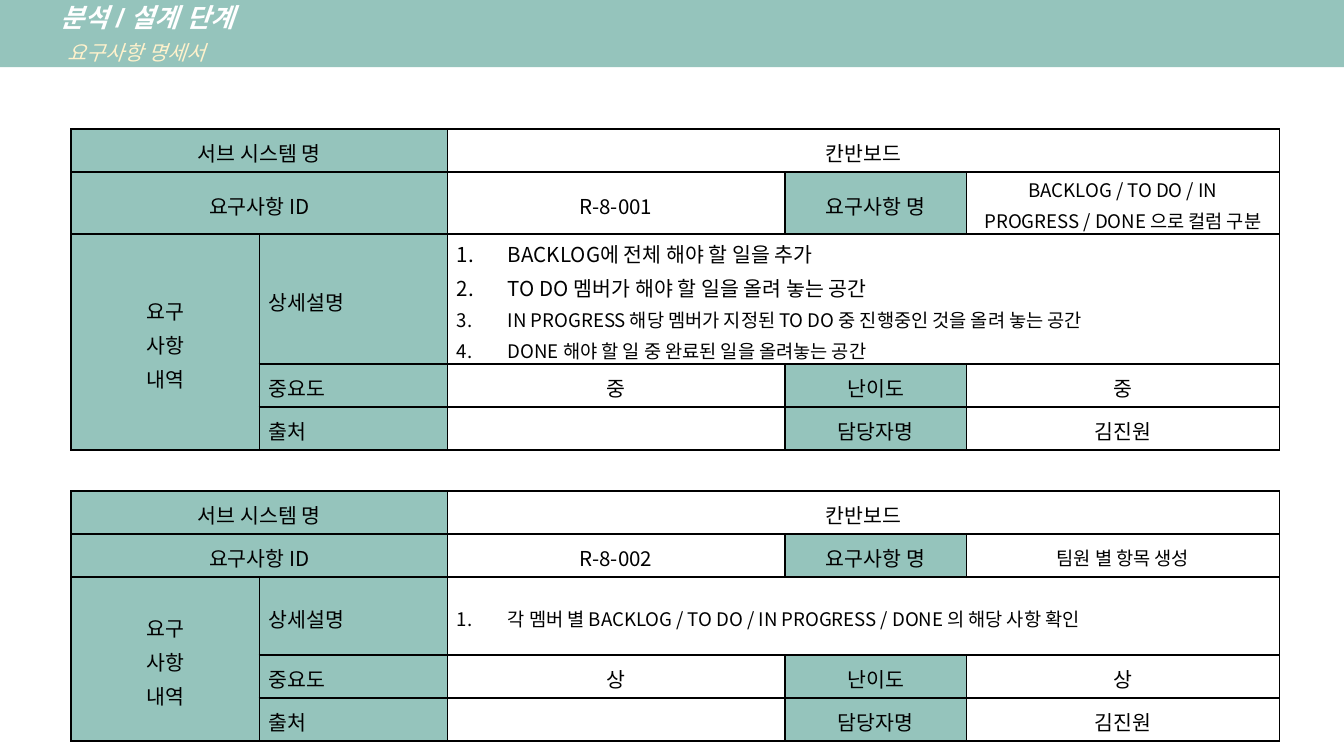
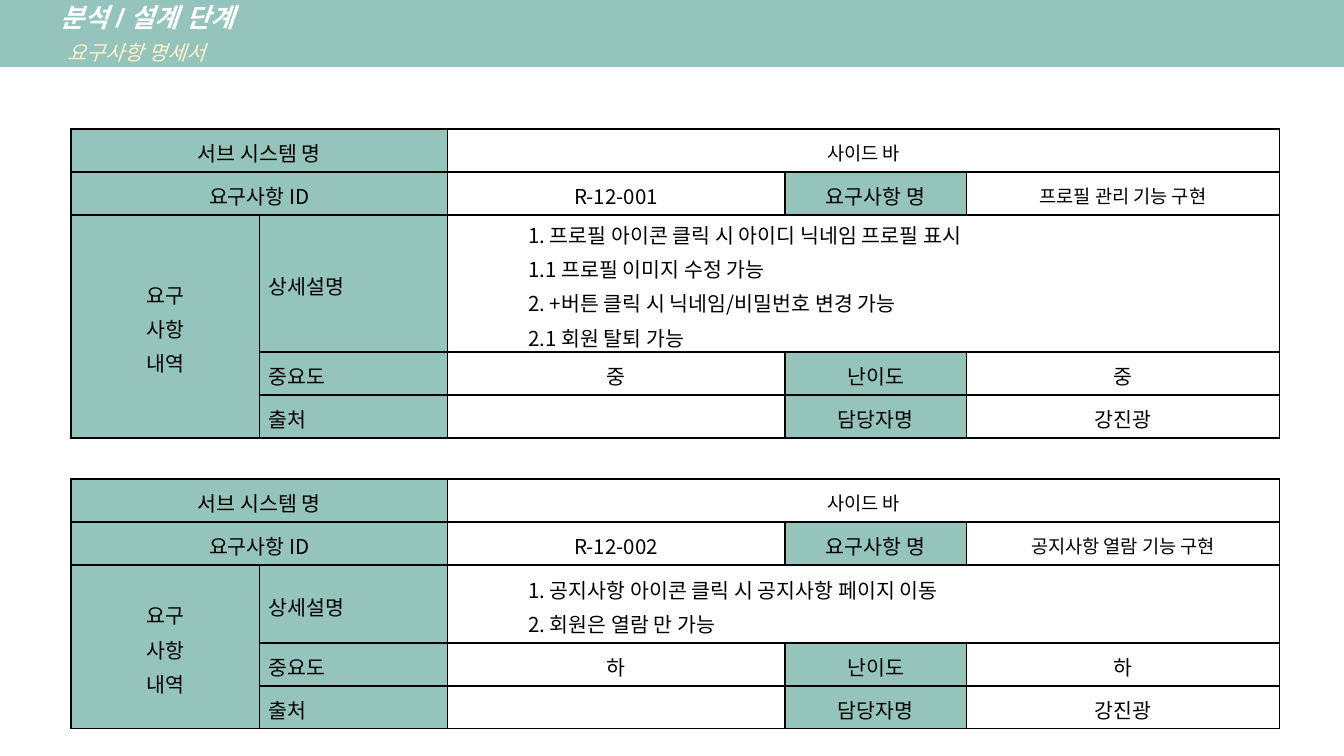
from dataclasses import dataclass
from itertools import product

from lxml.etree import SubElement
from pptx import Presentation
from pptx.dml.color import RGBColor
from pptx.enum.shapes import MSO_SHAPE
from pptx.enum.text import MSO_ANCHOR, PP_ALIGN
from pptx.oxml.ns import qn
from pptx.util import Inches, Pt


@dataclass(frozen=True)
class Theme:
    teal: str = "95C4BC"
    white: str = "FFFFFF"
    cream: str = "FFF2CC"
    black: str = "000000"
    heading_font: str = "Arial"
    table_font: str = "Noto Sans CJK KR"
    title: int = 14
    body: int = 11
    small: int = 10
    line_spacing: float = 1.15
    border: int = 1


@dataclass(frozen=True)
class Requirement:
    system: str
    code: str
    name: str
    details: tuple
    importance: str
    difficulty: str
    owner: str
    system_size: int = Theme.body
    numbered: bool = False


THEME = Theme()
COLUMNS = (1.4, 1.4, 2.51, 1.35, 2.33)
BLOCK_ROWS = (0.32, 0.32, 0.57, 0.32, 0.32)
GAP_ROW = 0.18
SECOND_BLOCK_ROWS = (0.32, 0.32, 0.58, 0.32, 0.32)
ROWS = BLOCK_ROWS + (GAP_ROW,) + SECOND_BLOCK_ROWS
SECOND_BLOCK = len(BLOCK_ROWS) + 1

KANBAN = (
    Requirement(
        "칸반보드", "R-8-001", "BACKLOG / TO DO / IN PROGRESS / DONE 으로 컬럼 구분",
        (
            ("BACKLOG에 전체 해야 할 일을 추가", THEME.body),
            ("TO DO 멤버가 해야 할 일을 올려 놓는 공간", THEME.body),
            ("IN PROGRESS 해당 멤버가 지정된 TO DO 중 진행중인 것을 올려 놓는 공간", THEME.small),
            ("DONE 해야 할 일 중 완료된 일을 올려놓는 공간", THEME.small),
        ),
        "중", "중", "김진원", numbered=True,
    ),
    Requirement(
        "칸반보드", "R-8-002", "팀원 별 항목 생성",
        (("각 멤버 별 BACKLOG / TO DO / IN PROGRESS / DONE 의 해당 사항 확인", THEME.small),),
        "상", "상", "김진원", numbered=True,
    ),
)
SIDEBAR = (
    Requirement(
        "사이드 바", "R-12-001", "프로필 관리 기능 구현",
        (
            ("1. 프로필 아이콘 클릭 시 아이디 닉네임 프로필 표시", THEME.body),
            ("1.1 프로필 이미지 수정 가능", THEME.body),
            ("2. +버튼 클릭 시 닉네임/비밀번호 변경 가능", THEME.body),
            ("2.1 회원 탈퇴 가능", THEME.body),
        ),
        "중", "중", "강진광", system_size=THEME.small,
    ),
    Requirement(
        "사이드 바", "R-12-002", "공지사항 열람 기능 구현",
        (
            ("1. 공지사항 아이콘 클릭 시 공지사항 페이지 이동", THEME.body),
            ("2. 회원은 열람 만 가능", THEME.body),
        ),
        "하", "하", "강진광", system_size=THEME.small,
    ),
)


def write(para, text, font=THEME.table_font, size=THEME.body, color=THEME.black,
          bold=False, italic=False, align=PP_ALIGN.LEFT, spacing=None, before=0,
          margin=0, indent=0, numbered=False):
    para.alignment = align
    if spacing:
        para.line_spacing = spacing
    if before:
        para.space_before = Pt(before)
    properties = para._p.get_or_add_pPr()
    properties.set("marL", str(Inches(margin)))
    properties.set("indent", str(Inches(indent)))
    if numbered:
        SubElement(properties, qn("a:buAutoNum"), type="arabicPeriod")
    for number, line in enumerate(text.split("\n")):
        if number:
            para.add_line_break()
        span = para.add_run()
        span.text = line
        span.font.name = font
        span.font.size = Pt(size)
        span.font.bold = bold
        span.font.italic = italic
        span.font.color.rgb = RGBColor.from_string(color)
        SubElement(span._r.get_or_add_rPr(), qn("a:ea"), typeface=font)


def add_header(page, left, top, width, height):
    band = page.shapes.add_shape(
        MSO_SHAPE.RECTANGLE, Inches(left), Inches(top), Inches(width), Inches(height))
    band.shadow.inherit = False
    band.fill.solid()
    band.fill.fore_color.rgb = RGBColor.from_string(THEME.teal)
    band.line.fill.background()
    frame = band.text_frame
    frame.word_wrap = True
    frame.vertical_anchor = MSO_ANCHOR.MIDDLE
    frame.margin_left = frame.margin_right = Inches(0.07)
    frame.margin_top = frame.margin_bottom = Inches(0.04)
    title, subtitle = frame.paragraphs[0], frame.add_paragraph()
    title.level = subtitle.level = 1
    write(title, "분석 / 설계 단계", font=THEME.heading_font, size=THEME.title,
          color=THEME.white, bold=True, italic=True, margin=0.38)
    write(subtitle, "요구사항 명세서", font=THEME.heading_font,
          color=THEME.cream, italic=True, before=4, margin=0.43)


def set_borders(cell, sides):
    properties = cell._tc.get_or_add_tcPr()
    for side in "LRTB":
        line = SubElement(properties, qn(f"a:ln{side}"), w=str(Pt(THEME.border)))
        if side in sides:
            fill = SubElement(line, qn("a:solidFill"))
            SubElement(fill, qn("a:srgbClr"), val=THEME.black)
        else:
            SubElement(line, qn("a:noFill"))


def prepare_cell(cell, is_gap):
    cell.vertical_anchor = MSO_ANCHOR.MIDDLE
    cell.margin_left = cell.margin_right = Inches(0.07)
    cell.margin_top = cell.margin_bottom = 0
    set_borders(cell, "TB" if is_gap else "LRTB")
    if is_gap:
        cell.fill.background()
    else:
        cell.fill.solid()
        cell.fill.fore_color.rgb = RGBColor.from_string(THEME.white)


def add_requirement(table, first_row, item):
    def put(row, column, text, label=False, size=THEME.body, align=PP_ALIGN.CENTER):
        cell = table.cell(first_row + row, column)
        if label:
            cell.fill.fore_color.rgb = RGBColor.from_string(THEME.teal)
        write(cell.text_frame.paragraphs[0], text, size=size, align=align,
              spacing=THEME.line_spacing)

    for row, start, end_row, end in ((0, 0, 0, 1), (0, 2, 0, 4), (1, 0, 1, 1),
                                     (2, 0, 4, 0), (2, 2, 2, 4)):
        table.cell(first_row + row, start).merge(table.cell(first_row + end_row, end))

    for row, column, text in ((0, 0, "서브 시스템 명"), (1, 0, "요구사항 ID"),
                              (1, 3, "요구사항 명"), (2, 0, "요구\n사항\n내역"),
                              (3, 3, "난이도"), (4, 3, "담당자명")):
        put(row, column, text, label=True)
    for row, text in enumerate(("상세설명", "중요도", "출처"), start=2):
        put(row, 1, text, label=True, align=PP_ALIGN.LEFT)

    put(0, 2, item.system, size=item.system_size)
    put(1, 2, item.code)
    put(1, 4, item.name, size=THEME.small)
    put(3, 2, item.importance)
    put(3, 4, item.difficulty)
    put(4, 4, item.owner)

    frame = table.cell(first_row + 2, 2).text_frame
    margin, indent = (0.38, -0.38) if item.numbered else (0.53, 0)
    for number, (text, size) in enumerate(item.details):
        para = frame.add_paragraph() if number else frame.paragraphs[0]
        write(para, text, size=size, spacing=THEME.line_spacing,
              margin=margin, indent=indent, numbered=item.numbered)


def add_requirement_table(page, requirements, left, top, width, height):
    holder = page.shapes.add_table(
        len(ROWS), len(COLUMNS), Inches(left), Inches(top), Inches(width), Inches(height))
    table = holder.table
    table.first_row = table.horz_banding = False
    for column, size in zip(table.columns, COLUMNS):
        column.width = Inches(size)
    for row, size in zip(table.rows, ROWS):
        row.height = Inches(size)
    holder.width, holder.height = Inches(width), Inches(height)

    gap = len(BLOCK_ROWS)
    for row, column in product(range(len(ROWS)), range(len(COLUMNS))):
        prepare_cell(table.cell(row, column), row == gap)
    table.cell(gap, 0).merge(table.cell(gap, len(COLUMNS) - 1))
    for first_row, item in zip((0, SECOND_BLOCK), requirements):
        add_requirement(table, first_row, item)


def add_requirement_page(deck, requirements, table_height):
    page = deck.slides.add_slide(deck.slide_layouts[6])
    add_header(page, 0, -0.01, 10, 0.51)
    add_requirement_table(page, requirements, 0.53, 0.96, 9, table_height)


def main():
    deck = Presentation()
    deck.slide_width = Inches(10)
    deck.slide_height = deck.slide_width * 9 // 16
    add_requirement_page(deck, KANBAN, 4.27)
    add_requirement_page(deck, SIDEBAR, 4.24)
    deck.save("out.pptx")


if __name__ == "__main__":
    main()
